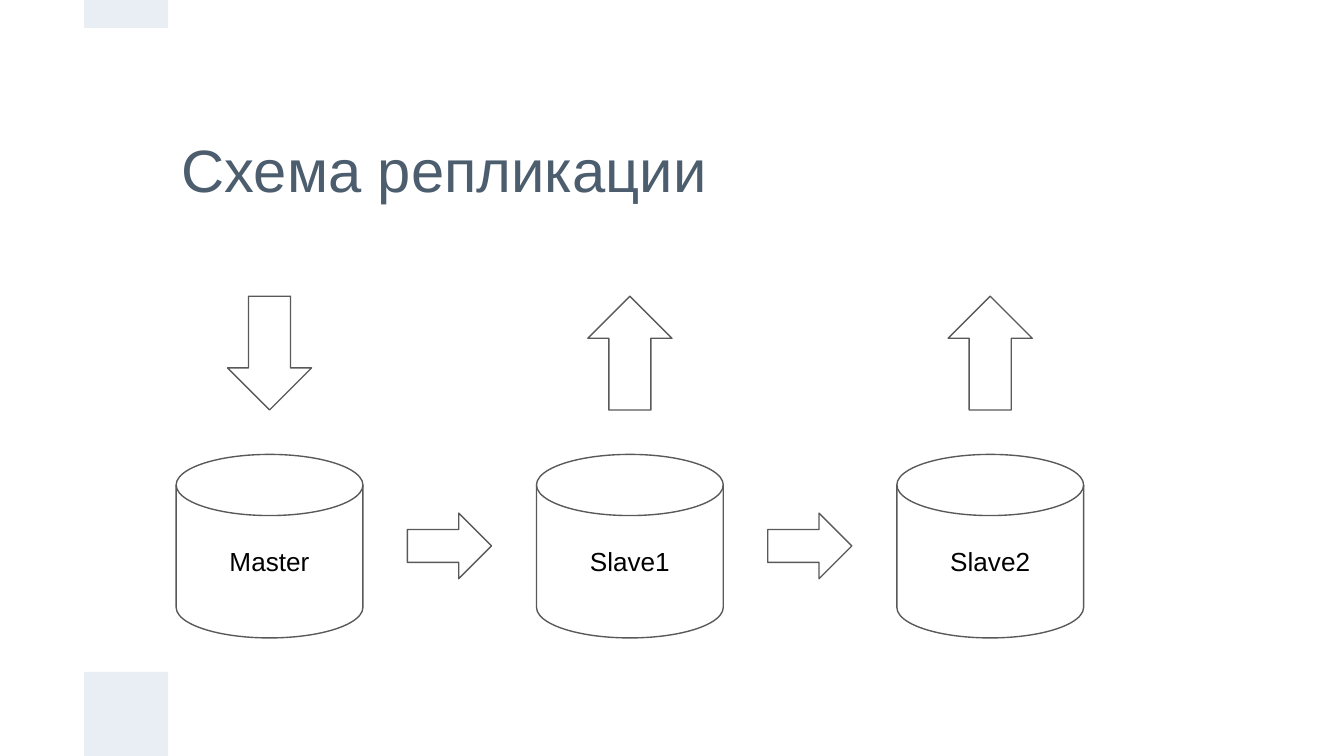
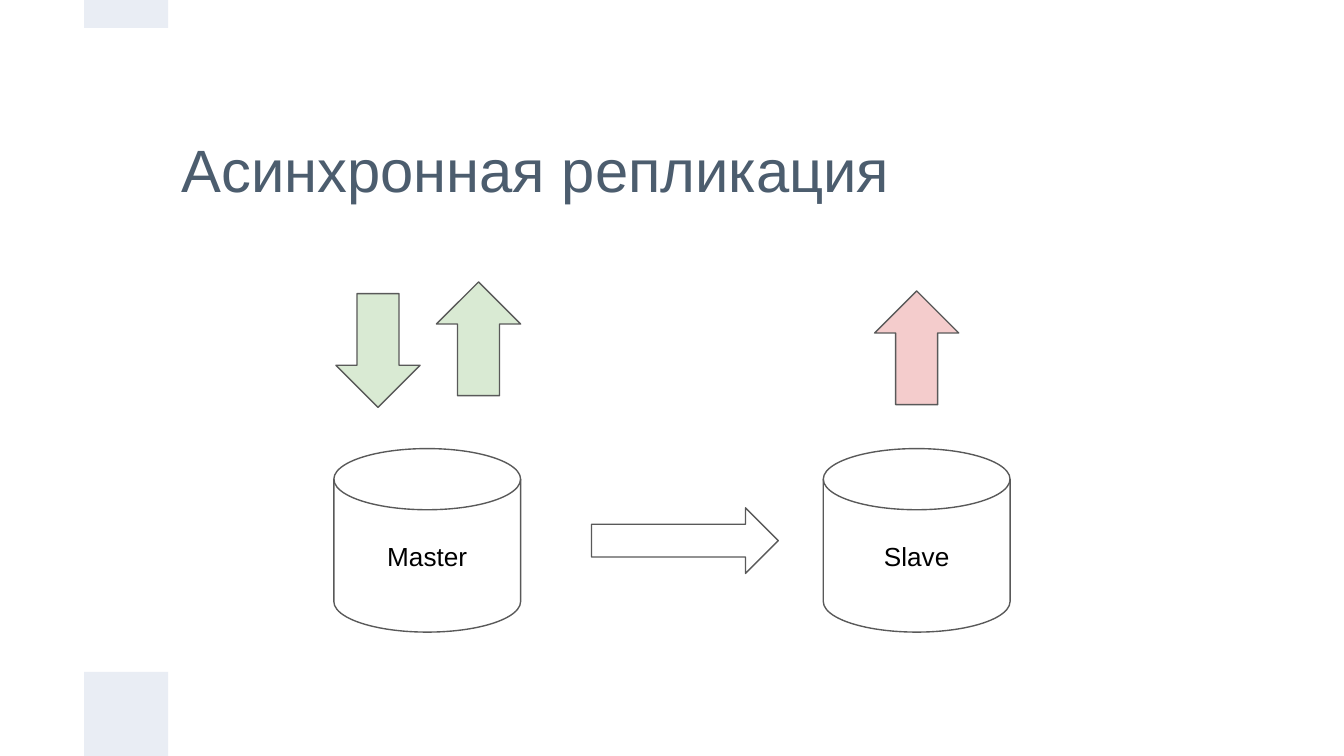
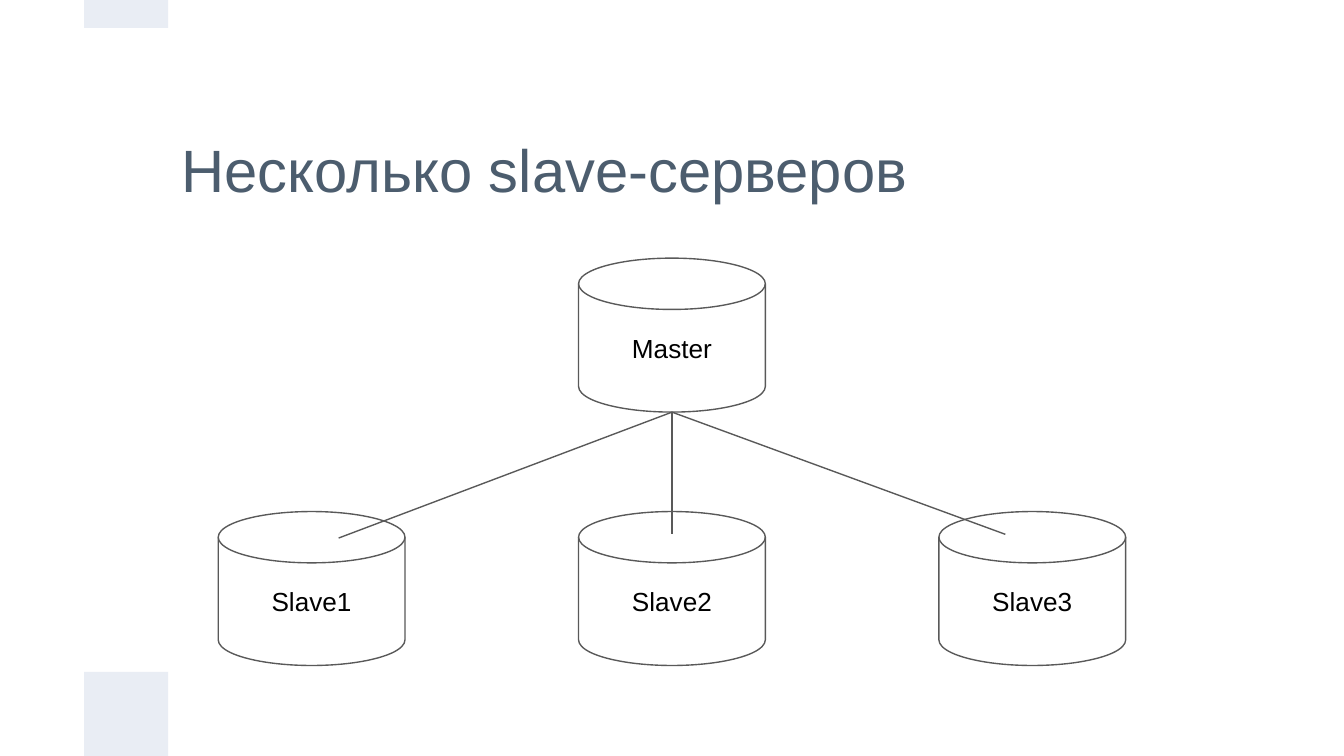
"""Builds three slides on database replication."""
from lxml import etree
from pptx import Presentation
from pptx.dml.color import RGBColor
from pptx.enum.shapes import MSO_CONNECTOR, MSO_SHAPE
from pptx.enum.text import MSO_ANCHOR, PP_ALIGN
from pptx.oxml.ns import qn
from pptx.util import Cm, Pt

DISK = MSO_SHAPE.FLOWCHART_MAGNETIC_DISK
DOWN, UP, RIGHT = MSO_SHAPE.DOWN_ARROW, MSO_SHAPE.UP_ARROW, MSO_SHAPE.RIGHT_ARROW
RECT = MSO_SHAPE.RECTANGLE
LINE = MSO_CONNECTOR.STRAIGHT
LEFT, MID = PP_ALIGN.LEFT, PP_ALIGN.CENTER
MIDDLE = MSO_ANCHOR.MIDDLE

FONT = "Arial"
INK, SLATE, GREY = "000000", "4C5D6E", "595959"
BAND, GREEN, PINK = "E9EDF4", "D9EAD3", "F4CCCC"

WIDE, HIGH = 25.4, 14.29
UNIT = 1.59
DISK_W, TALL, SHORT = 3.53, 3.47, 2.91
STEP = 6.81
INSET = (DISK_W - UNIT) / 2


def color(code):
    return RGBColor.from_string(code)


class Deck:
    def __init__(self):
        self.file = Presentation()
        self.file.slide_width = Cm(WIDE)
        self.file.slide_height = Cm(HIGH)
        self.slide = None

    def page(self, title):
        self.slide = self.file.slides.add_slide(self.file.slide_layouts[5])
        head = self.slide.shapes.title
        head.left, head.top = Cm(2 * UNIT), Cm(UNIT)
        head.width, head.height = Cm(12 * UNIT), Cm(2 * UNIT)
        self.text(head, title, 32, SLATE, LEFT)
        self.shape(RECT, 1.59, HIGH - UNIT, UNIT, UNIT, BAND, None)
        self.shape(RECT, 1.59, 0, UNIT, UNIT / 3, BAND, None)

    def text(self, shape, words, size, ink, align):
        frame = shape.text_frame
        frame.text = words
        frame.word_wrap = True
        frame.vertical_anchor = MIDDLE
        frame.margin_left = frame.margin_right = Cm(0.25)
        frame.margin_top = frame.margin_bottom = Cm(0.25)
        para = frame.paragraphs[0]
        para.alignment = align
        para.font.name = FONT
        para.font.size = Pt(size)
        para.font.color.rgb = color(ink)

    def stroke(self, line):
        line.color.rgb = color(GREY)
        line.width = Pt(0.75)

    def shape(self, kind, x, y, w, h, fill=None, edge=GREY):
        item = self.slide.shapes.add_shape(kind, Cm(x), Cm(y), Cm(w), Cm(h))
        item.shadow.inherit = False
        if fill:
            item.fill.solid()
            item.fill.fore_color.rgb = color(fill)
        else:
            item.fill.background()
        if edge:
            self.stroke(item.line)
        else:
            item.line.fill.background()
        return item

    def disk(self, name, x, y, h=TALL):
        self.text(self.shape(DISK, x, y, DISK_W, h), name, 14, INK, MID)

    def arrow(self, kind, x, y, fill=None):
        self.shape(kind, x, y, UNIT, 2.15, fill)

    def copy(self, x, y, w=UNIT):
        self.shape(RIGHT, x, y, w, 1.24)

    def link(self, x1, y1, x2, y2):
        line = self.slide.shapes.add_connector(LINE, Cm(x1), Cm(y1), Cm(x2), Cm(y2))
        self.stroke(line.line)
        etree.SubElement(line._element.spPr, qn("a:effectLst"))


deck = Deck()

deck.page("Схема репликации")
for i, (name, kind) in enumerate([("Master", DOWN), ("Slave1", UP), ("Slave2", UP)]):
    x = 3.33 + i * STEP
    deck.disk(name, x, 8.59)
    deck.arrow(kind, x + INSET, 5.6)
    if i:
        deck.copy(x - 2.44, 9.7)

deck.page("Асинхронная репликация")
deck.disk("Master", 6.31, 8.48)
deck.disk("Slave", 15.56, 8.48)
deck.arrow(DOWN, 6.35, 5.55, GREEN)
deck.arrow(UP, 8.25, 5.33, GREEN)
deck.arrow(UP, 15.56 + INSET, 5.5, PINK)
deck.copy(11.18, 9.6, DISK_W)

deck.page("Несколько slave-серверов")
center = (WIDE - DISK_W) / 2
deck.disk("Master", center, 4.88, SHORT)
for i in range(3):
    deck.disk(f"Slave{i + 1}", center + (i - 1) * STEP, 9.67, SHORT)
for x, y in [(6.4, 10.17), (12.7, 10.1), (19, 10.1)]:
    deck.link(WIDE / 2, 4.88 + SHORT, x, y)

deck.file.save("out.pptx")
